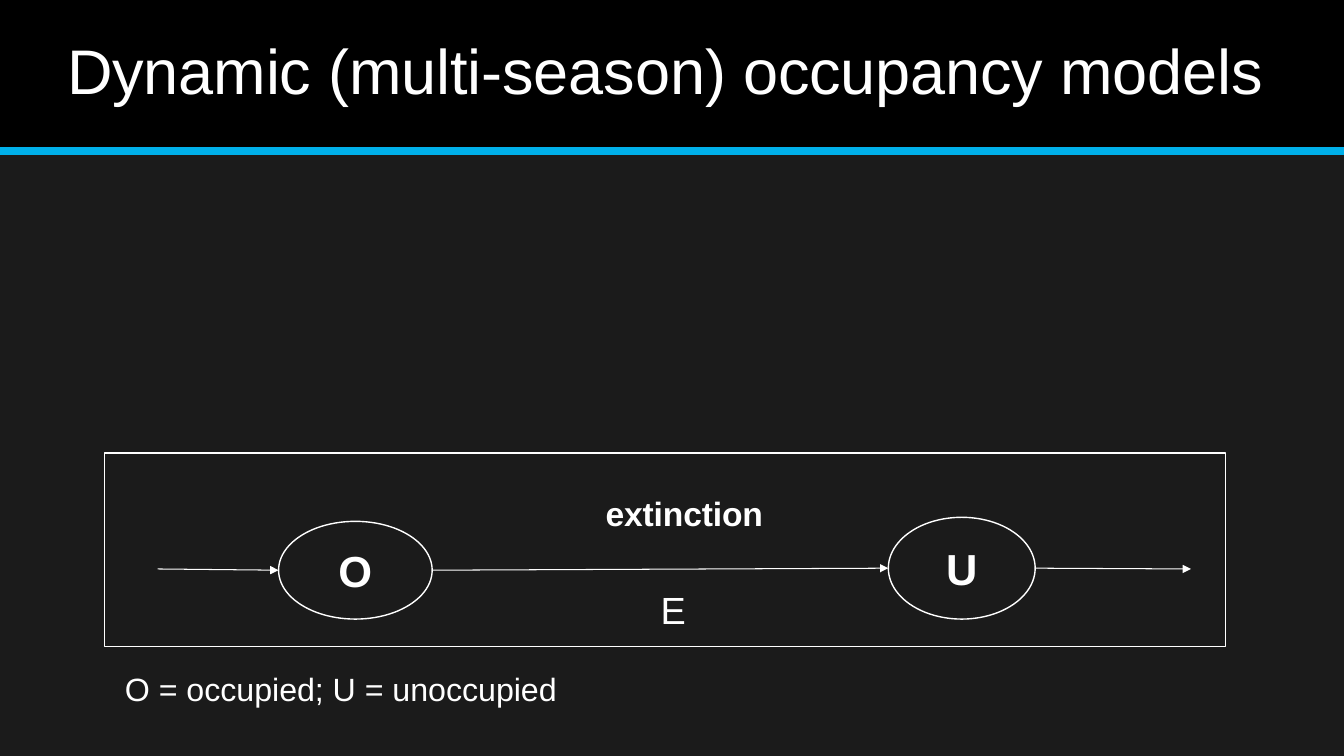
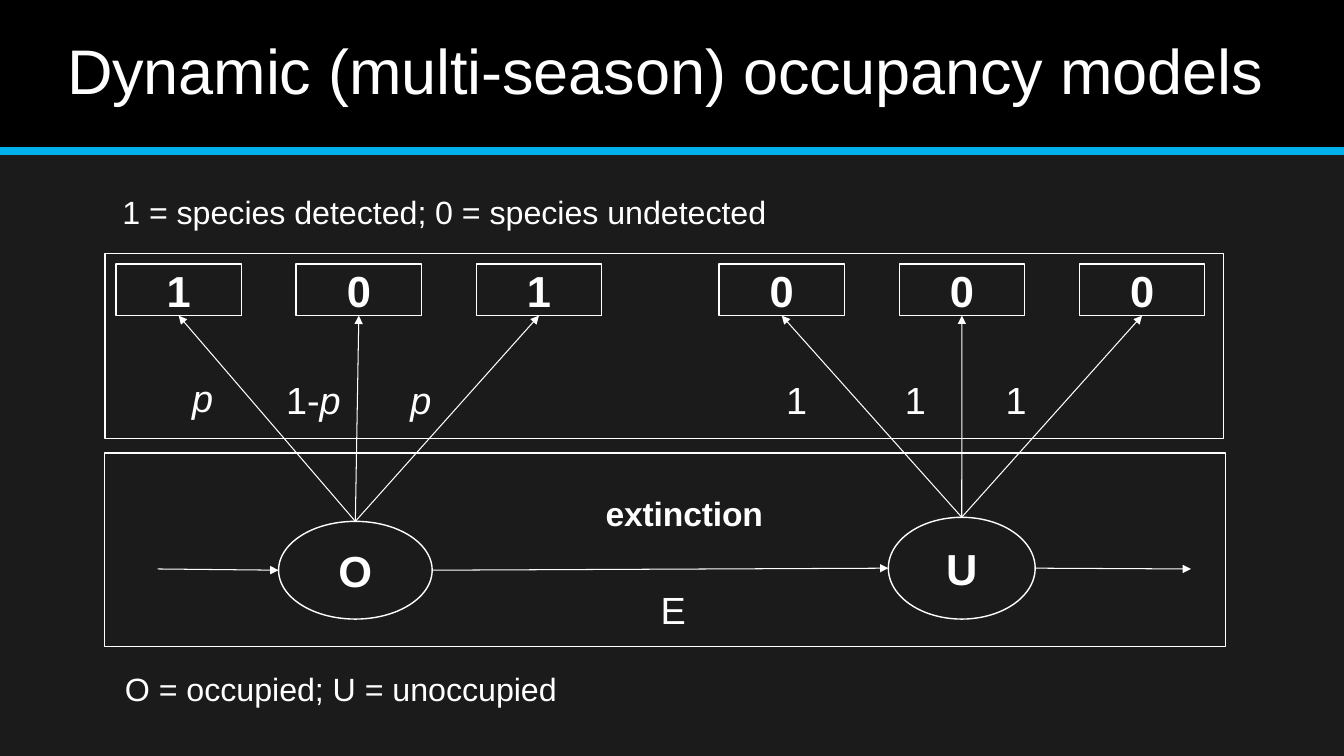
import dataclasses

import pptx
import pptx.dml.color
import pptx.enum.shapes
import pptx.enum.text
import pptx.oxml.ns
import pptx.util
from lxml import etree

SHAPE = pptx.enum.shapes.MSO_SHAPE
ALIGN = pptx.enum.text.PP_ALIGN
ANCHOR = pptx.enum.text.MSO_ANCHOR
qn = pptx.oxml.ns.qn


@dataclasses.dataclass(frozen=True)
class Theme:
    font: str = "Arial"
    back: str = "1B1B1B"
    band: str = "000000"
    accent: str = "00B0EA"
    ink: str = "FFFFFF"
    title: int = 45
    symbol: int = 31
    rate: int = 27
    process: int = 24
    legend: int = 23
    outline: float = 1
    arrow: float = 0.75
    rule: float = 6


@dataclasses.dataclass(frozen=True)
class Box:
    x: float
    y: float
    w: float
    h: float

    def point(self, x, y):
        return int(self.x + self.w * x / 100), int(self.y + self.h * y / 100)

    def area(self, x, y, w, h):
        return Box(*self.point(x, y), int(self.w * w / 100), int(self.h * h / 100))

    def place(self):
        return self.x, self.y, self.w, self.h


T = Theme()
TITLE = "Dynamic (multi-season) occupancy models"
PAGE = Box(0, 0, pptx.util.Inches(13.33), pptx.util.Inches(7.5))
STATES = PAGE.area(7.8, 59.9, 83.4, 25.6)
DETECTIONS = PAGE.area(7.8, 33.5, 83.25, 24.5)
PITCH = 16.1
FANS = {
    "O": (1, "101", [(7.8, 65.3, "", "p"), (16.2, 66.4, "1-", "p"), (27.3, 66.4, "", "p")]),
    "U": (54.9, "000", [(60.9, 66.4, "1", ""), (71.5, 66.4, "1", ""), (80.5, 66.4, "1", "")]),
}


def rgb(value):
    return pptx.dml.color.RGBColor.from_string(value)


def frame(shape, anchor=ANCHOR.TOP):
    tf = shape.text_frame
    tf.margin_left = tf.margin_top = tf.margin_right = tf.margin_bottom = 0
    tf.auto_size = pptx.enum.text.MSO_AUTO_SIZE.NONE
    tf.word_wrap = True
    tf.vertical_anchor = anchor
    return tf


def write(tf, text, size, align=ALIGN.LEFT, bold=False, italic=False, tracking=0):
    p = tf.paragraphs[0]
    p.alignment = align
    r = p.add_run()
    r.text = text
    r.font.name = T.font
    r.font.size = pptx.util.Pt(size)
    r.font.bold = bold
    r.font.italic = italic
    r.font.color.rgb = rgb(T.ink)
    if tracking:
        r.font._element.set("spc", str(tracking))


def label(s, box, text, size, **fmt):
    tf = frame(s.shapes.add_textbox(*box.place()))
    write(tf, text, size, **fmt)


def shape(s, kind, box, fill=None, line=T.ink):
    sp = s.shapes.add_shape(kind, *box.place())
    sp.shadow.inherit = False
    if fill:
        sp.fill.solid()
        sp.fill.fore_color.rgb = rgb(fill)
    else:
        sp.fill.background()
    if line:
        sp.line.color.rgb = rgb(line)
        sp.line.width = pptx.util.Pt(T.outline)
    else:
        sp.line.fill.background()
    return sp


def symbol(s, kind, box, text, **fmt):
    sp = shape(s, kind, box, **fmt)
    write(frame(sp, ANCHOR.MIDDLE), text, T.symbol, align=ALIGN.CENTER, bold=True)
    return sp


def line(s, start, end, color=T.ink, width=T.arrow, head=True):
    c = s.shapes.add_connector(pptx.enum.shapes.MSO_CONNECTOR.STRAIGHT, *start, *end)
    c.line.color.rgb = rgb(color)
    c.line.width = pptx.util.Pt(width)
    if head:
        etree.SubElement(c.line._get_or_add_ln(), qn("a:tailEnd"), type="triangle")
    etree.SubElement(c.element.spPr, qn("a:effectLst"))
    return c


def dress_layout(layout, s):
    layout.background.fill.solid()
    layout.background.fill.fore_color.rgb = rgb(T.back)
    band = shape(s, SHAPE.RECTANGLE, PAGE.area(0, 0, 100, 19.5), T.band, None)
    rule = line(s, PAGE.point(0, 20), PAGE.point(100, 20), T.accent, T.rule, head=False)
    for i, sp in enumerate((band, rule)):
        sp.element.xpath(".//p:cNvPr")[0].set("id", str(20 + i))
        layout.shapes.element.insert(2 + i, sp.element)


def titled_slide(prs, layout):
    s = prs.slides.add_slide(layout)
    sp = s.shapes.title
    sp.left, sp.top, sp.width, sp.height = PAGE.area(5, 4.2, 92, 10.4).place()
    write(frame(sp), TITLE, T.title, tracking=-10)
    return s


def legend(s, box, text):
    label(s, box, text, T.legend, tracking=-5)


def state_panel(s, box):
    shape(s, SHAPE.RECTANGLE, box)
    o_box = box.area(15.5, 35.4, 13.7, 50.5)
    u_box = box.area(69.9, 33.3, 13.1, 52.6)
    nodes = {text: symbol(s, SHAPE.OVAL, b, text) for text, b in (("O", o_box), ("U", u_box))}
    line(s, box.point(4.7, 60), o_box.point(0, 50))
    line(s, o_box.point(100, 50), u_box.point(0, 50))
    line(s, u_box.point(100, 50), box.point(96.9, 60))
    label(s, box.area(41.7, 20.8, 20, 22), "extinction", T.process,
          align=ALIGN.CENTER, bold=True, tracking=-10)
    label(s, box.area(45.7, 69.2, 10, 24), "Ε", T.rate, align=ALIGN.CENTER)
    return nodes


def detection_panel(s, box, nodes):
    shape(s, SHAPE.RECTANGLE, box)
    for state, (left, outcomes, rates) in FANS.items():
        for i, outcome in enumerate(outcomes):
            cell = box.area(left + i * PITCH, 5.9, 11.2, 27.8)
            sp = symbol(s, SHAPE.RECTANGLE, cell, outcome, fill=T.back)
            c = line(s, (0, 0), cell.point(50, 100))
            c.begin_connect(nodes[state], 0)
            c.end_connect(sp, 2)
        for x, y, upright, slanted in rates:
            tf = frame(s.shapes.add_textbox(*box.area(x, y, 8, 25).place()))
            for text, italic in ((upright, False), (slanted, True)):
                if text:
                    write(tf, text, T.rate, italic=italic)


def state_slide(prs, layout):
    s = titled_slide(prs, layout)
    nodes = state_panel(s, STATES)
    legend(s, PAGE.area(9.3, 88.5, 42, 5.5), "O = occupied; U = unoccupied")
    return s, nodes


def detection_slide(prs, layout):
    s, nodes = state_slide(prs, layout)
    detection_panel(s, DETECTIONS, nodes)
    legend(s, PAGE.area(9.1, 25.5, 60, 5.5), "1 = species detected; 0 = species undetected")


def main():
    prs = pptx.Presentation()
    prs.slide_width, prs.slide_height = PAGE.w, PAGE.h
    layout = prs.slide_layouts.get_by_name("Title Only")
    s, _ = state_slide(prs, layout)
    dress_layout(layout, s)
    detection_slide(prs, layout)
    prs.save("out.pptx")


if __name__ == "__main__":
    main()
